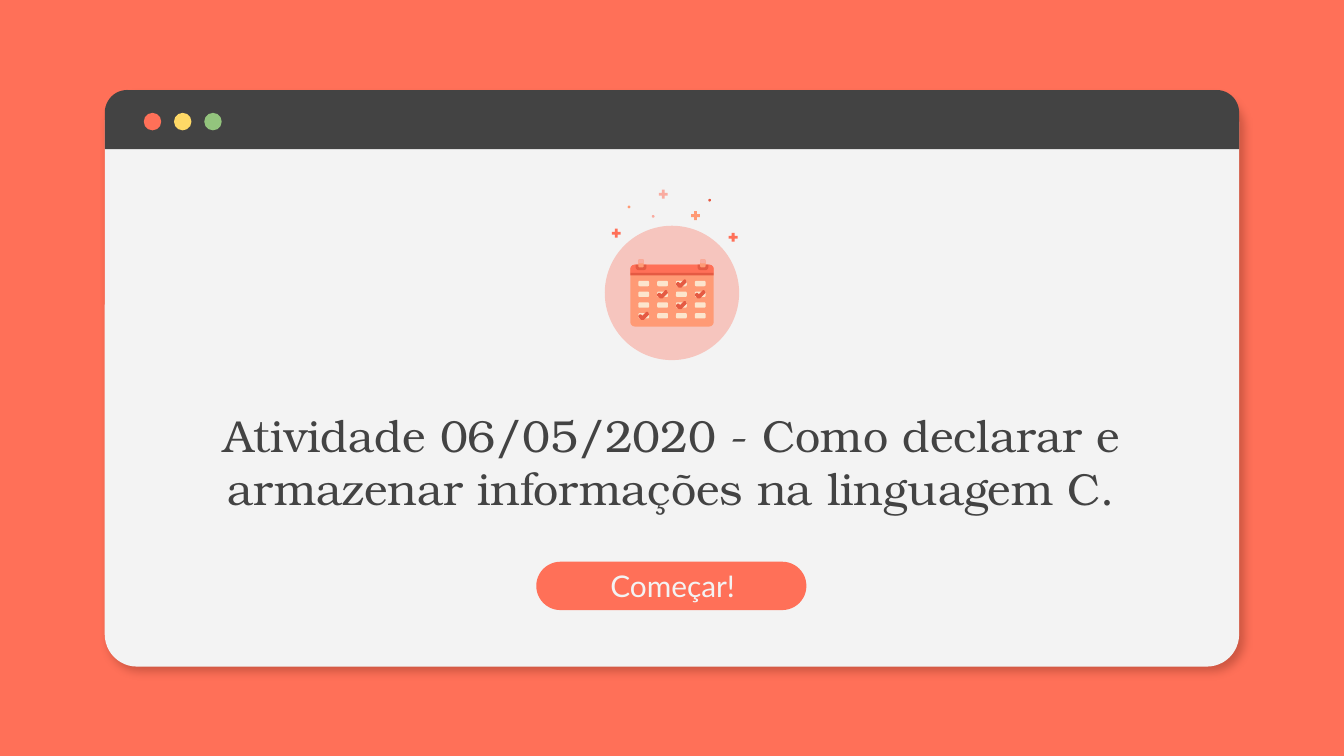
from lxml.etree import SubElement
from pptx import Presentation
from pptx.dml.color import RGBColor
from pptx.enum.shapes import MSO_SHAPE
from pptx.enum.text import MSO_ANCHOR, PP_ALIGN
from pptx.oxml.ns import qn
from pptx.util import Inches, Pt

COLORS = {
    "coral": "FF7058", "light": "F3F3F3", "dark": "434343",
    "yellow": "FFD966", "green": "93C47D", "blush": "F6C5BE",
    "orange": "FF9A75", "red": "E55A43", "pink": "F9ABA0",
    "cream": "FCE5CD", "shadow": "963A2A",
}
TITLE = "Atividade 06/05/2020 - Como declarar e armazenar informações na linguagem C."
BUTTON = "Começar!"
WINDOW_DOTS = ["coral", "yellow", "green"]
CHECKED = [(0, 2), (1, 1), (1, 3), (2, 2), (3, 0)]
CHECK = [(0.06, -0.01), (0.07, -0.01), (0.08, 0.01), (0.04, 0.05), (0.03, 0.05),
         (0.02, 0.05), (0, 0.03), (0, 0.02), (0.01, 0.01), (0.02, 0.01), (0.03, 0.02)]
PLUSES = [(4.54, 1.69, "coral"), (5.41, 1.72, "coral"),
          (5.13, 1.56, "orange"), (4.89, 1.4, "pink")]
SPECKS = [(5.27, 1.48, "red"), (4.85, 1.6, "pink"), (4.67, 1.53, "orange")]


def rgb(name):
    return RGBColor.from_string(COLORS[name])


def paint(sp, color):
    sp.shadow.inherit = False
    sp.fill.solid()
    sp.fill.fore_color.rgb = rgb(color)
    sp.line.fill.background()


def add(parent, kind, box, color, *adj):
    sp = parent.shapes.add_shape(kind, *map(Inches, box))
    for i, value in enumerate(adj):
        sp.adjustments[i] = value
    paint(sp, color)
    return sp


def write(sp, text, font, size, color, inset, anchor, after=0):
    tf = sp.text_frame
    tf.word_wrap = True
    tf.vertical_anchor = anchor
    tf.margin_left = tf.margin_right = Inches(0.1)
    tf.margin_top = tf.margin_bottom = Inches(inset)
    p = tf.paragraphs[0]
    p.alignment = PP_ALIGN.CENTER
    p.space_after = Pt(after)
    r = p.add_run()
    r.text = text
    r.font.name = font
    r.font.size = Pt(size)
    r.font.color.rgb = rgb(color)


def drop_shadow(sp):
    effects = sp.element.spPr.find(qn("a:effectLst"))
    outer = SubElement(effects, qn("a:outerShdw"), blurRad=str(Pt(4.5)),
                       dist=str(Pt(3.8)), dir=str(49 * 60000),
                       algn="bl", rotWithShape="0")
    color = SubElement(outer, qn("a:srgbClr"), val=COLORS["shadow"])
    SubElement(color, qn("a:alpha"), val="47000")


def add_window(s):
    window = s.shapes.add_group_shape()
    drop_shadow(add(window, MSO_SHAPE.ROUNDED_RECTANGLE,
                    (0.78, 0.68, 8.44, 4.28), "light", 0.056))
    add(window, MSO_SHAPE.ROUND_2_SAME_RECTANGLE,
        (0.78, 0.67, 8.44, 0.44), "dark", 0.38, 0)
    for i, color in enumerate(WINDOW_DOTS):
        add(window, MSO_SHAPE.OVAL, (1.07 + 0.45 * i / 2, 0.84, 0.13, 0.13), color)


def cell_corner(row, col):
    return 4.75 + 0.14 * col, 2.09 + 0.08 * row


def add_calendar(s):
    cal = s.shapes.add_group_shape()
    add(cal, MSO_SHAPE.OVAL, (4.5, 1.68, 1, 1), "blush")
    add(cal, MSO_SHAPE.ROUNDED_RECTANGLE, (4.69, 1.97, 0.62, 0.46), "orange", 0.07)
    add(cal, MSO_SHAPE.ROUND_2_SAME_RECTANGLE, (4.69, 1.97, 0.62, 0.06), "coral", 0.5, 0)
    for x in (4.73, 5.19):
        add(cal, MSO_SHAPE.ROUND_2_SAME_RECTANGLE, (x, 1.97, 0.08, 0.04), "red", 0, 0.5)
        for height, color in ((0.06, "orange"), (0.03, "pink")):
            add(cal, MSO_SHAPE.ROUNDED_RECTANGLE,
                (x + 0.02, 1.93, 0.04, height), color, 0.25)
    add(cal, MSO_SHAPE.RECTANGLE, (4.69, 2.03, 0.62, 0.02), "red")

    for row in range(4):
        for col in range(4):
            add(cal, MSO_SHAPE.ROUNDED_RECTANGLE,
                (*cell_corner(row, col), 0.08, 0.04), "cream", 0.25)
    for row, col in CHECKED:
        x, y = cell_corner(row, col)
        points = [(Inches(x + dx), Inches(y + dy)) for dx, dy in CHECK]
        outline = cal.shapes.build_freeform(*points[0])
        outline.add_line_segments(points[1:])
        paint(outline.convert_to_shape(), "red")

    for x, y, color in PLUSES:
        add(cal, MSO_SHAPE.MATH_PLUS, (x, y, 0.09, 0.09), color, 0.235)
    for x, y, color in SPECKS:
        add(cal, MSO_SHAPE.OVAL, (x, y, 0.02, 0.02), color)


def main():
    prs = Presentation()
    prs.slide_width = Inches(10)
    prs.slide_height = prs.slide_width * 9 // 16
    s = prs.slides.add_slide(prs.slide_layouts[6])
    s.background.fill.solid()
    s.background.fill.fore_color.rgb = rgb("coral")

    add_window(s)
    title = s.shapes.add_textbox(*map(Inches, (1.42, 2.94, 7.15, 0.98)))
    write(title, TITLE, "TeX Gyre Bonum", 24, "dark", 0.1, MSO_ANCHOR.MIDDLE)
    add(s, MSO_SHAPE.ROUNDED_RECTANGLE, (3.99, 4.18, 2.01, 0.36), "coral", 0.5)
    label = add(s, MSO_SHAPE.RECTANGLE, (4.4, 4.22, 1.21, 0.19), "coral")
    write(label, BUTTON, "Lato", 16, "light", 0, MSO_ANCHOR.TOP, 16)
    add_calendar(s)
    prs.save("out.pptx")


if __name__ == "__main__":
    main()
